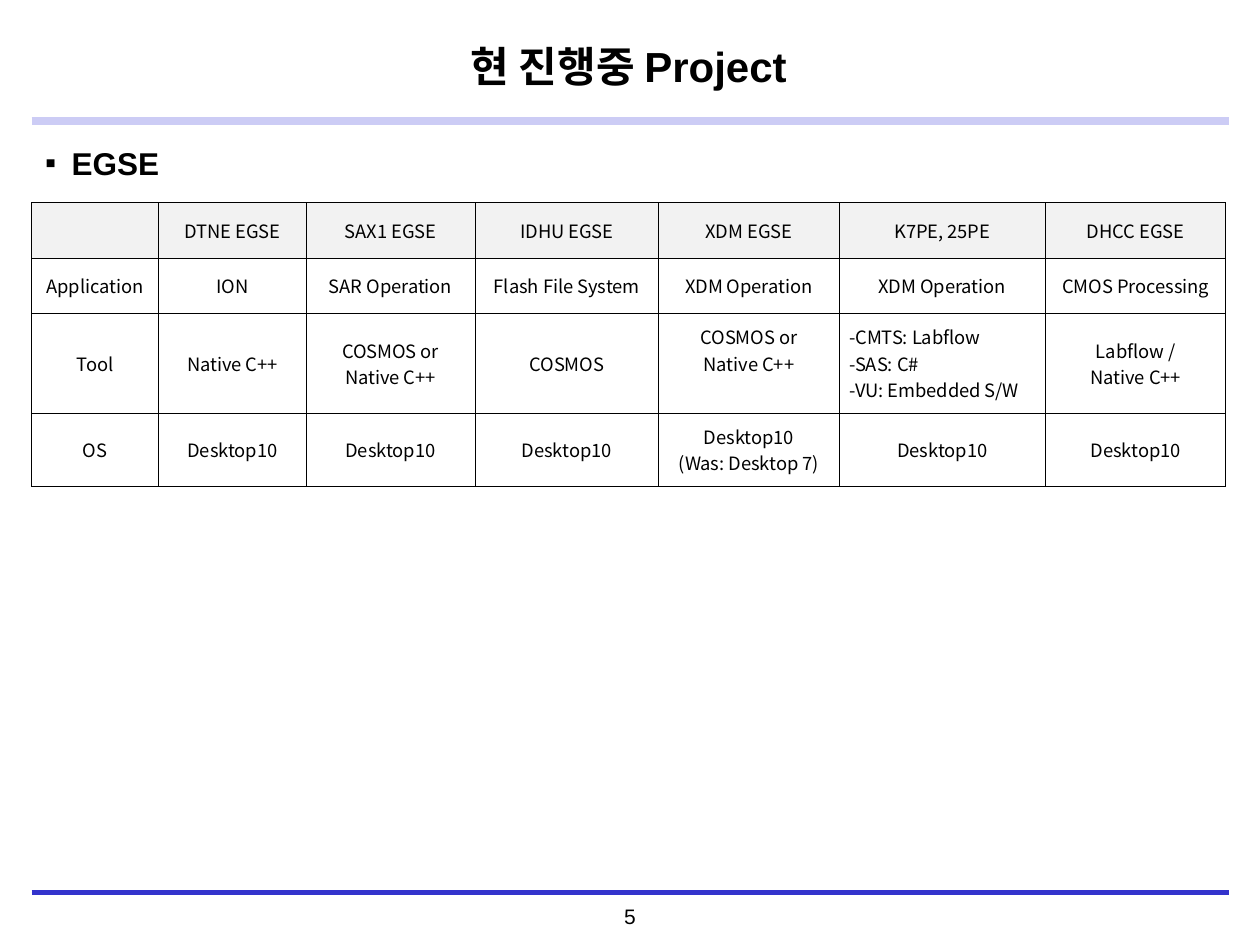
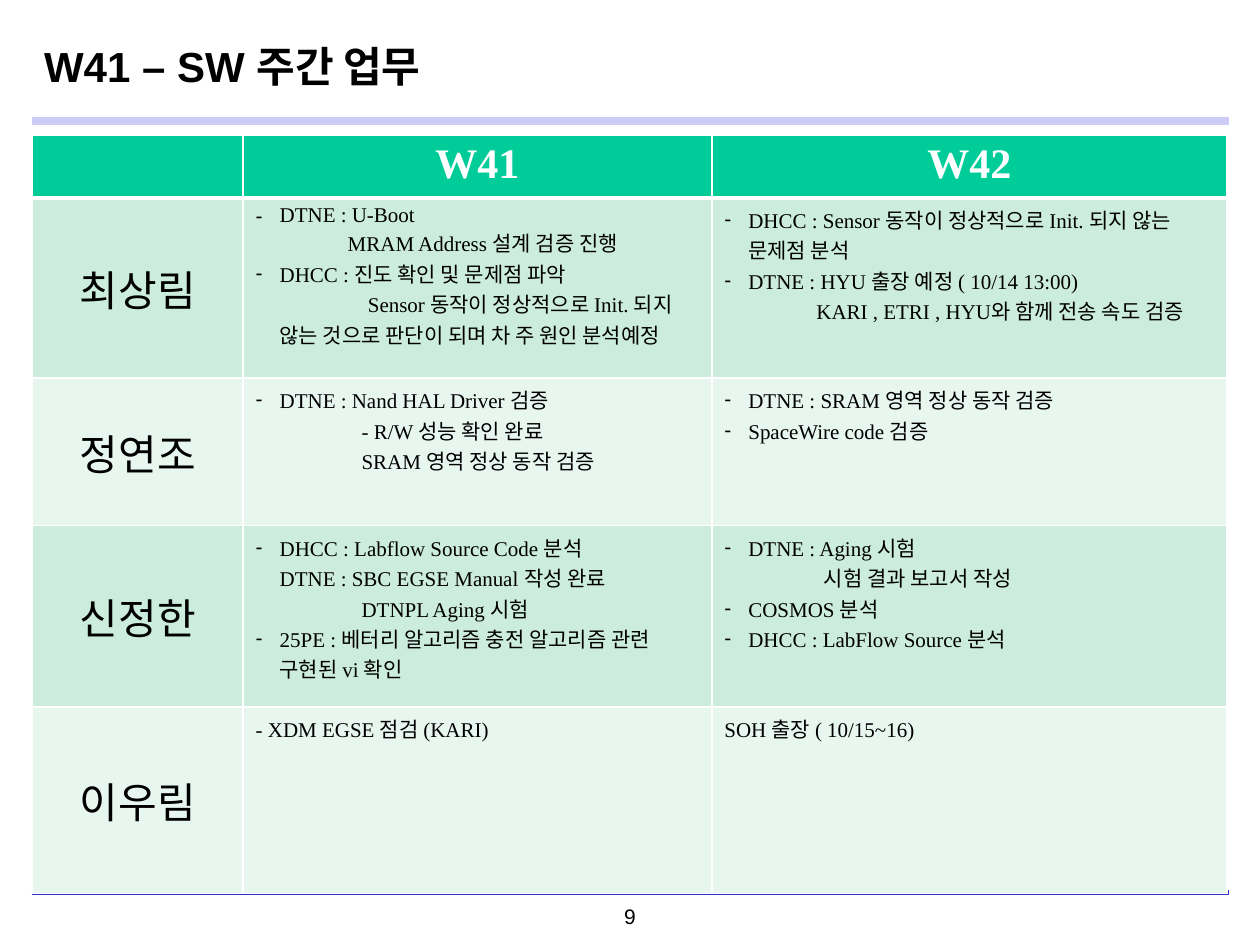
from dataclasses import dataclass

from lxml.etree import SubElement
from pptx import Presentation
from pptx.dml.color import RGBColor as Rgb
from pptx.enum.shapes import MSO_CONNECTOR as Conn
from pptx.enum.text import MSO_ANCHOR as Anchor, PP_ALIGN as Align
from pptx.oxml.ns import qn
from pptx.util import Inches, Pt


@dataclass(frozen=True)
class Style:
    """Font, size, colour and weight of a kind of text."""
    face: str
    size: float
    color: str = "000000"
    bold: bool = False


class Theme:
    """Colours and type shared by the slides."""
    asian = "Noto Sans CJK KR"
    title = Style("Arial", 24, bold=True)
    head = Style("Arial", 18, bold=True)
    page = Style("Arial", 12)
    grid = Style(asian, 10.5)
    week = Style("Times New Roman", 24, "FFFFFF", True)
    name = Style("Times New Roman", 24)
    note = Style("Times New Roman", 12)
    band, foot = "CCCCF5", "3333CC"
    black, white, gray = "000000", "FFFFFF", "F2F2F2"
    green, mint, pale = "00CC99", "CCECDE", "E7F6EF"


HANG = 0.19

TOOLS = [
    ["", "DTNE EGSE", "SAX1 EGSE", "IDHU EGSE", "XDM EGSE", "K7PE, 25PE", "DHCC EGSE"],
    ["Application", "ION", "SAR Operation", "Flash File System", "XDM Operation",
     "XDM Operation", "CMOS Processing"],
    ["Tool", "Native C++", "COSMOS or\nNative C++", "COSMOS", "COSMOS or\nNative C++",
     "-CMTS: Labflow\n-SAS: C#\n-VU: Embedded S/W", "Labflow /\nNative C++"],
    ["OS", "Desktop10", "Desktop10", "Desktop10", "Desktop10\n(Was: Desktop 7)",
     "Desktop10", "Desktop10"],
]

TASKS = [
    ("최상림",
     [("-", "DTNE : U-Boot"),
      (0.73, "MRAM Address 설계 검증 진행"),
      ("-", "DHCC : 진도 확인 및 문제점 파악"),
      (0.89, "Sensor 동작이 정상적으로 Init. 되지 않는 것으로 판단이 되며 차 주 원인 분석예정")],
     [("-", "DHCC : Sensor 동작이 정상적으로 Init. 되지 않는 문제점 분석"),
      ("-", "DTNE : HYU 출장 예정 ( 10/14 13:00)"),
      (0.73, "KARI , ETRI , HYU와 함께 전송 속도 검증")]),
    ("정연조",
     [("-", "DTNE : Nand HAL Driver 검증"),
      (0.84, "- R/W 성능 확인 완료"),
      (0.84, "SRAM 영역 정상 동작 검증")],
     [("-", "DTNE : SRAM 영역 정상 동작 검증"),
      ("-", "SpaceWire code 검증")]),
    ("신정한",
     [("-", "DHCC : Labflow Source Code 분석"),
      (HANG, "DTNE : SBC EGSE Manual 작성 완료"),
      (0.84, "DTNPL Aging 시험"),
      ("-", "25PE : 베터리 알고리즘 충전 알고리즘 관련 구현된 vi 확인")],
     [("-", "DTNE : Aging 시험"),
      (0.79, "시험 결과 보고서 작성"),
      ("-", "COSMOS 분석"),
      ("-", "DHCC : LabFlow Source 분석")]),
    ("이우림",
     [(None, "- XDM EGSE 점검 (KARI)")],
     [(None, "SOH 출장 ( 10/15~16)")]),
]


def indent(par, left, first, mark=None):
    """Set the left and first-line indents and the bullet."""
    props = par._p.get_or_add_pPr()
    props.set("marL", str(Inches(left)))
    props.set("indent", str(Inches(first)))
    if mark:
        SubElement(props, qn("a:buFont"), typeface="Arial")
        SubElement(props, qn("a:buChar"), char=mark)
    else:
        SubElement(props, qn("a:buNone"))


def write(frame, lines, style, align=Align.LEFT, hang=HANG):
    """Fill a frame with (lead, text) lines, the lead a mark or an offset."""
    frame.word_wrap = True
    for index, (lead, text) in enumerate(lines):
        par = frame.add_paragraph() if index else frame.paragraphs[0]
        par.text = text
        par.alignment = align
        par.space_before = Pt(0)
        if isinstance(lead, str):
            indent(par, hang, -hang, lead)
        elif lead is not None:
            indent(par, hang, lead - hang)
        font = par.font
        font.size, font.bold = Pt(style.size), style.bold
        font.color.rgb = Rgb.from_string(style.color)
        font.name = style.face
        base = par._p.pPr.find(qn("a:defRPr"))
        SubElement(base, qn("a:ea"), typeface=Theme.asian)


def plain(text):
    """Split text into lines without lead."""
    return [(None, line) for line in text.split("\n")]


def rule(slide, top, color, width):
    """Draw a line across the slide."""
    line = slide.shapes.add_connector(
        Conn.STRAIGHT, Inches(0.25), Inches(top), Inches(9.75), Inches(top))
    line.line.color.rgb = Rgb.from_string(color)
    line.line.width = Pt(width)
    SubElement(line._element.spPr, qn("a:effectLst"))


def label(slide, box, lines, style, **opts):
    """Add a text box."""
    frame = slide.shapes.add_textbox(*map(Inches, box)).text_frame
    write(frame, lines, style, **opts)


def start(deck, title, width, align, page):
    """Add a slide with title, band and footer."""
    slide = deck.slides.add_slide(deck.slide_layouts[5])
    for top in (7.09, 7.08):
        rule(slide, top, Theme.foot, 2)
    label(slide, (4.19, 7.12, 1.62, 0.3), plain(page), Theme.page, align=Align.CENTER)
    rule(slide, 0.96, Theme.band, 4.5)
    head = slide.shapes.title
    head.left, head.top, head.width, head.height = map(Inches, (0.25, 0.14, width, 0.77))
    head.text_frame.vertical_anchor = Anchor.MIDDLE
    write(head.text_frame, plain(title), Theme.title, align)
    return slide


def table(slide, left, top, cols, rows):
    """Add an unstyled table with the given column widths and row heights."""
    box = map(Inches, (left, top, sum(cols), sum(rows)))
    grid = slide.shapes.add_table(len(rows), len(cols), *box).table
    grid.first_row = grid.horz_banding = False
    for col, width in zip(grid.columns, cols):
        col.width = Inches(width)
    for row, height in zip(grid.rows, rows):
        row.height = Inches(height)
    return grid


def paint(cell, fill, edge, width, base=None):
    """Set a cell's borders and fill, with its own width for the base."""
    props = cell._tc.get_or_add_tcPr()
    for side in "LRTB":
        size = base if base and side == "B" else width
        line = SubElement(props, qn(f"a:ln{side}"), w=str(Pt(size)))
        SubElement(SubElement(line, qn("a:solidFill")), qn("a:srgbClr"), val=edge)
    if fill:
        cell.fill.solid()
        cell.fill.fore_color.rgb = Rgb.from_string(fill)
    else:
        cell.fill.background()


def tools(slide, left, top):
    """Place the table of test equipment."""
    cols = (1.01, 1.17, 1.34, 1.46, 1.43, 1.64, 1.43)
    grid = table(slide, left, top, cols, (0.44, 0.44, 0.79, 0.58))
    for r, row in enumerate(TOOLS):
        for c, text in enumerate(row):
            cell = grid.cell(r, c)
            paint(cell, None if r else Theme.gray, Theme.black, 0.5)
            cell.margin_left = cell.margin_right = Inches(0.08)
            cell.margin_top = cell.margin_bottom = Inches(0.08)
            cell.vertical_anchor = Anchor.MIDDLE
            align = Align.LEFT if text.startswith("-") else Align.CENTER
            write(cell.text_frame, plain(text), Theme.grid, align)
    grid.cell(2, 4).vertical_anchor = Anchor.TOP


def tasks(slide, left, top):
    """Place the table of weekly tasks by person."""
    grid = table(slide, left, top, (1.67, 3.72, 4.09), (0.46, 1.43, 1.17, 1.44, 1.48))
    for c, text in enumerate(("", "W41", "W42")):
        cell = grid.cell(0, c)
        paint(cell, Theme.green, Theme.white, 1, 3)
        write(cell.text_frame, plain(text), Theme.week, Align.CENTER)
    for r, (name, *notes) in enumerate(TASKS, 1):
        for c in range(3):
            paint(grid.cell(r, c), Theme.mint if r % 2 else Theme.pale, Theme.white, 1)
        grid.cell(r, 0).vertical_anchor = Anchor.MIDDLE
        write(grid.cell(r, 0).text_frame, plain(name), Theme.name, Align.CENTER)
        for c, lines in enumerate(notes, 1):
            write(grid.cell(r, c).text_frame, lines, Theme.note)


def main():
    """Build and save the deck."""
    deck = Presentation()
    deck.slide_width, deck.slide_height = Inches(10), Inches(7.5)
    slide = start(deck, "현 진행중 Project", 9.48, Align.CENTER, "5")
    label(slide, (0.26, 1.09, 9.48, 0.4), [("▪", "EGSE")], Theme.head, hang=0.21)
    tools(slide, 0.25, 1.61)
    slide = start(deck, "W41 – SW 주간 업무", 7.64, Align.LEFT, "9")
    tasks(slide, 0.26, 1.07)
    deck.save("out.pptx")


if __name__ == "__main__":
    main()
